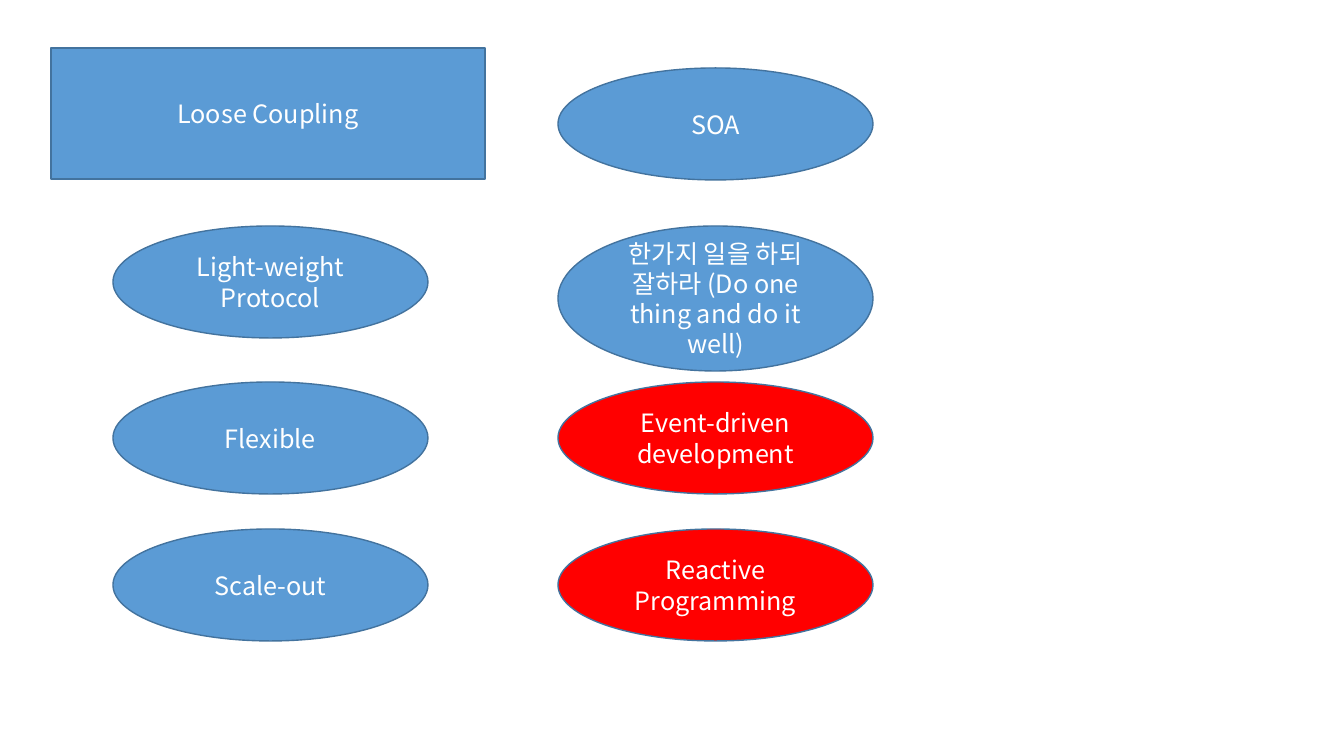
from lxml import etree
from pptx import Presentation
from pptx.dml.color import RGBColor
from pptx.enum.shapes import MSO_SHAPE
from pptx.enum.text import MSO_ANCHOR, PP_ALIGN
from pptx.oxml.ns import qn
from pptx.util import Pt

RECTANGLE, OVAL = MSO_SHAPE.RECTANGLE, MSO_SHAPE.OVAL
MIDDLE, CENTER = MSO_ANCHOR.MIDDLE, PP_ALIGN.CENTER

# Content: (text, fill name), top to bottom in each column
HEADING = "Loose Coupling"
TRAITS = [
    ("Light-weight Protocol", "blue"),
    ("Flexible", "blue"),
    ("Scale-out", "blue"),
]
PRACTICES = [
    ("SOA", "blue"),
    ("한가지 일을 하되 잘하라 (Do one thing and do it well)", "blue"),
    ("Event-driven development", "red"),
    ("Reactive Programming", "red"),
]

THEME = {
    "blue": RGBColor(0x5B, 0x9B, 0xD5),
    "red": RGBColor(0xFF, 0x00, 0x00),
    "outline": RGBColor(0x43, 0x73, 0x9E),
    "text": RGBColor(0xFF, 0xFF, 0xFF),
    "font": "Noto Sans CJK KR",
    "size": Pt(18),
    "line": Pt(1),
}

# Layout in px
PAGE_WIDTH, PAGE_HEIGHT = 1344, 756
SCALE = 12192000 / PAGE_WIDTH
HEADING_BOX = (51, 48, 434, 131)
TRAIT_LEFT, PRACTICE_LEFT = 113, 558
ROW_TOPS = [68, 226, 382, 529]
OVAL_WIDTH, OVAL_HEIGHT, TALL_HEIGHT = 315, 112, 145
LONG_TEXT = 30


def emu(px):
    return round(px * SCALE)


def apply(target, values):
    for name, value in values.items():
        setattr(target, name, value)


def add_label(page, kind, box, text, fill):
    shape = page.shapes.add_shape(kind, *map(emu, box))
    shape.shadow.inherit = False
    shape.fill.solid()
    shape.fill.fore_color.rgb = THEME[fill]
    shape.line.color.rgb = THEME["outline"]
    shape.line.width = THEME["line"]

    frame = shape.text_frame
    apply(frame, {"word_wrap": True, "vertical_anchor": MIDDLE})
    para = frame.paragraphs[0]
    para.alignment = CENTER
    span = para.add_run()
    span.text = text
    apply(span.font, {"name": THEME["font"], "size": THEME["size"]})
    span.font.color.rgb = THEME["text"]
    # Korean letters take the East Asian typeface
    east_asian = etree.SubElement(span.font._element, qn("a:ea"))
    east_asian.set("typeface", THEME["font"])


def add_column(page, left, tops, labels):
    for top, (text, fill) in zip(tops, labels):
        height = TALL_HEIGHT if len(text) > LONG_TEXT else OVAL_HEIGHT
        add_label(page, OVAL, (left, top, OVAL_WIDTH, height), text, fill)


def main():
    deck = Presentation()
    apply(deck, {"slide_width": emu(PAGE_WIDTH), "slide_height": emu(PAGE_HEIGHT)})
    page = deck.slides.add_slide(deck.slide_layouts[6])

    # Left column: heading, then its traits from the second row down
    add_label(page, RECTANGLE, HEADING_BOX, HEADING, "blue")
    add_column(page, TRAIT_LEFT, ROW_TOPS[1:], TRAITS)

    # Right column
    add_column(page, PRACTICE_LEFT, ROW_TOPS, PRACTICES)

    deck.save("out.pptx")


if __name__ == "__main__":
    main()
